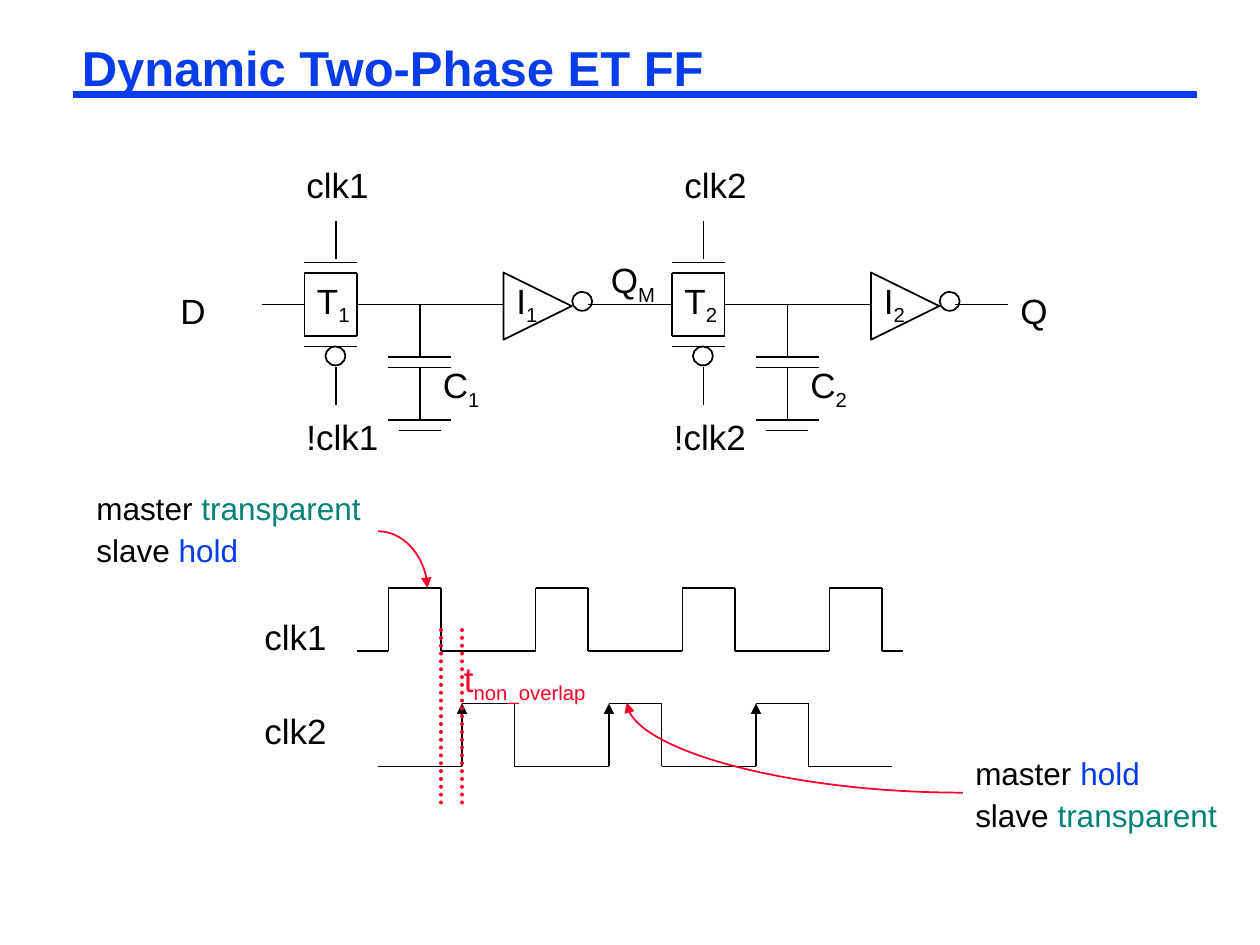
from dataclasses import dataclass
from typing import Optional

from lxml import etree
from pptx import Presentation
from pptx import util as u
from pptx.dml.color import RGBColor
from pptx.enum import dml, shapes, text
from pptx.oxml.ns import qn

EMU_PER_PX = 7620  # 120 px to the inch
BLACK, BLUE, RED, GREEN = "000000", "063DE8", "FC0128", "008276"
STAGE_STEP = 350


@dataclass(frozen=True)
class Run:
    content: str
    color: str = BLACK
    subscript: bool = False


@dataclass(frozen=True)
class Stage:
    """One latch: transmission gate, storage capacitor and inverter."""
    number: str
    left: int
    clock_left: int


@dataclass(frozen=True)
class Clock:
    name: str
    start: int
    end: int
    low: int
    pulses: tuple[int, ...]
    label_top: int
    arrow: bool = False


STAGES = (Stage("1", 0, 280), Stage("2", STAGE_STEP, 640))
CLOCKS = (
    Clock("clk1", 340, 860, 620, (370, 510, 650, 790), 580),
    Clock("clk2", 360, 850, 730, (440, 580, 720), 670, arrow=True),
)
PULSE_WIDTH, PULSE_HEIGHT = 50, 60

# Wires of a stage: x1, y1, x2, y2
GATE_WIRES = (
    (250, 290, 290, 290), (340, 290, 380, 290),  # input and output
    (290, 260, 340, 260), (290, 320, 340, 320),  # body
    (290, 260, 290, 320), (340, 260, 340, 320),
    (290, 250, 340, 250), (290, 330, 340, 330),  # gate plates
    (320, 210, 320, 247), (320, 350, 320, 386),  # clock leads
)
CAPACITOR_WIRES = (
    (370, 290, 480, 290), (400, 290, 400, 340),
    (370, 340, 430, 340), (370, 350, 430, 350),  # plates
    (400, 350, 400, 400),
    (370, 400, 430, 400), (380, 410, 420, 410),  # ground
    (560, 290, 610, 290),  # inverter output
)


def px(value: int) -> u.Emu:
    return u.Emu(value * EMU_PER_PX)


def rgb(color: str) -> RGBColor:
    return RGBColor.from_string(color)


def add_line(slide, x1: int, y1: int, x2: int, y2: int, *, color: str = BLACK,
             width: float = 1, arrow: bool = False, dotted: bool = False,
             curved: bool = False):
    kind = shapes.MSO_CONNECTOR.CURVE if curved else shapes.MSO_CONNECTOR.STRAIGHT
    line = slide.shapes.add_connector(kind, px(x1), px(y1), px(x2), px(y2))
    line.line.color.rgb = rgb(color)
    line.line.width = u.Pt(width)
    properties = line._element.spPr
    outline = properties.find(qn("a:ln"))
    if dotted:
        line.line.dash_style = dml.MSO_LINE.ROUND_DOT
        outline.set("cap", "rnd")
    if curved:  # quarter-turn curve
        properties.find(qn("a:prstGeom")).set("prst", "curvedConnector2")
    if arrow:
        etree.SubElement(outline, qn("a:tailEnd"), type="triangle")
    etree.SubElement(properties, qn("a:effectLst"))
    return line


def add_outline(slide, kind, left: int, top: int, width: int, height: int,
                *, rotation: int = 0):
    shape = slide.shapes.add_shape(kind, px(left), px(top), px(width), px(height))
    shape.rotation = rotation
    shape.fill.background()
    shape.line.color.rgb = rgb(BLACK)
    shape.line.width = u.Pt(1)
    shape.shadow.inherit = False
    return shape


def add_runs(paragraph, runs: tuple[Run, ...], *, size: int, bold: bool = False) -> None:
    for item in runs:
        run = paragraph.add_run()
        run.text = item.content
        run.font.name = "Arial"
        run.font.size = u.Pt(size)
        run.font.bold = bold
        run.font.color.rgb = rgb(item.color)
        if item.subscript:
            run._r.get_or_add_rPr().set("baseline", "-25000")


def add_text(slide, left: int, top: int, width: int, *lines: tuple[Run, ...],
             height: int = 52, size: int = 20, wrap: bool = False,
             gap: Optional[float] = None):
    box = slide.shapes.add_textbox(px(left), px(top), px(width), px(height))
    frame = box.text_frame
    frame.word_wrap = wrap
    frame.auto_size = text.MSO_AUTO_SIZE.SHAPE_TO_FIT_TEXT
    for index, runs in enumerate(lines):
        paragraph = frame.add_paragraph() if index else frame.paragraphs[0]
        if index and gap:
            paragraph.space_before = u.Pt(gap)
        add_runs(paragraph, runs, size=size)
    return box


def indexed(name: str, index: str, color: str = BLACK) -> tuple[Run, ...]:
    return Run(name, color), Run(index, color, subscript=True)


def add_title(slide, content: str) -> None:
    add_line(slide, 70, 90, 1140, 90, color=BLUE, width=4.5)
    title = slide.shapes.title
    title.left, title.top, title.width, title.height = px(70), px(40), px(1070), px(55)
    frame = title.text_frame
    frame.auto_size = text.MSO_AUTO_SIZE.NONE
    frame.vertical_anchor = text.MSO_ANCHOR.MIDDLE
    frame.margin_left = frame.margin_right = px(8)
    frame.margin_top = frame.margin_bottom = px(4)
    paragraph = frame.paragraphs[0]
    paragraph.alignment = text.PP_ALIGN.LEFT
    paragraph.line_spacing = 0.87
    add_runs(paragraph, (Run(content, BLUE),), size=28, bold=True)


def add_stage(slide, stage: Stage) -> None:
    dx, number = stage.left, stage.number
    for x1, y1, x2, y2 in GATE_WIRES + CAPACITOR_WIRES:
        add_line(slide, x1 + dx, y1, x2 + dx, y2)
    # Inversion bubbles and inverter body
    for left, top in ((310, 330), (545, 278)):
        add_outline(slide, shapes.MSO_SHAPE.OVAL, left + dx, top, 19, 18)
    add_outline(slide, shapes.MSO_SHAPE.ISOSCELES_TRIANGLE, 480 + dx, 259, 64, 65,
                rotation=90)
    # Labels
    add_text(slide, 290 + dx, 260, 56, indexed("T", number), wrap=True)
    add_text(slide, 480 + dx, 260, 46, indexed("I", number))
    add_text(slide, 410 + dx, 340, 60, indexed("C", number), wrap=True)
    add_text(slide, stage.clock_left, 150, 84, (Run(f"clk{number}"),))
    add_text(slide, 280 + dx, 390, 93, (Run(f"!clk{number}"),))


def add_clock(slide, clock: Clock) -> None:
    add_text(slide, 240, clock.label_top, 84, (Run(clock.name),))
    low, high = clock.low, clock.low - PULSE_HEIGHT
    position = clock.start
    for rise in clock.pulses:
        fall = rise + PULSE_WIDTH
        add_line(slide, position, low, rise, low)
        add_line(slide, rise, low, rise, high, arrow=clock.arrow)
        add_line(slide, rise, high, fall, high)
        add_line(slide, fall, low, fall, high)
        position = fall
    add_line(slide, position, low, clock.end, low)


def main() -> None:
    presentation = Presentation()
    presentation.slide_width, presentation.slide_height = px(1200), px(900)
    slide = presentation.slides.add_slide(presentation.slide_layouts[5])
    add_title(slide, "Dynamic Two-Phase ET FF")

    # Circuit
    for stage in STAGES:
        add_stage(slide, stage)
    add_text(slide, 160, 270, 48, (Run("D"),))
    add_text(slide, 570, 240, 68, indexed("Q", "M"))
    add_text(slide, 960, 270, 50, (Run("Q"),))

    # Timing diagram with the non-overlap interval
    for clock in CLOCKS:
        add_clock(slide, clock)
    for x in (420, 440):
        add_line(slide, x, 600, x, 770, color=RED, width=2.25, dotted=True)
    add_text(slide, 430, 620, 152, indexed("t", "non_overlap", RED))

    # Phase notes and their pointers
    transparent, hold = Run("transparent", GREEN), Run("hold", BLUE)
    master, slave = Run("master "), Run("slave ")
    add_text(slide, 80, 460, 276, (master, transparent), (slave, hold),
             height=88, size=18, gap=2.5)
    add_line(slide, 360, 506, 407, 560, color=RED, arrow=True, curved=True)
    add_text(slide, 917, 712, 263, (master, hold), (slave, transparent),
             height=88, size=18, wrap=True, gap=2.5)
    add_line(slide, 917, 755, 597, 669, color=RED, arrow=True, curved=True)

    presentation.save("out.pptx")


if __name__ == "__main__":
    main()
